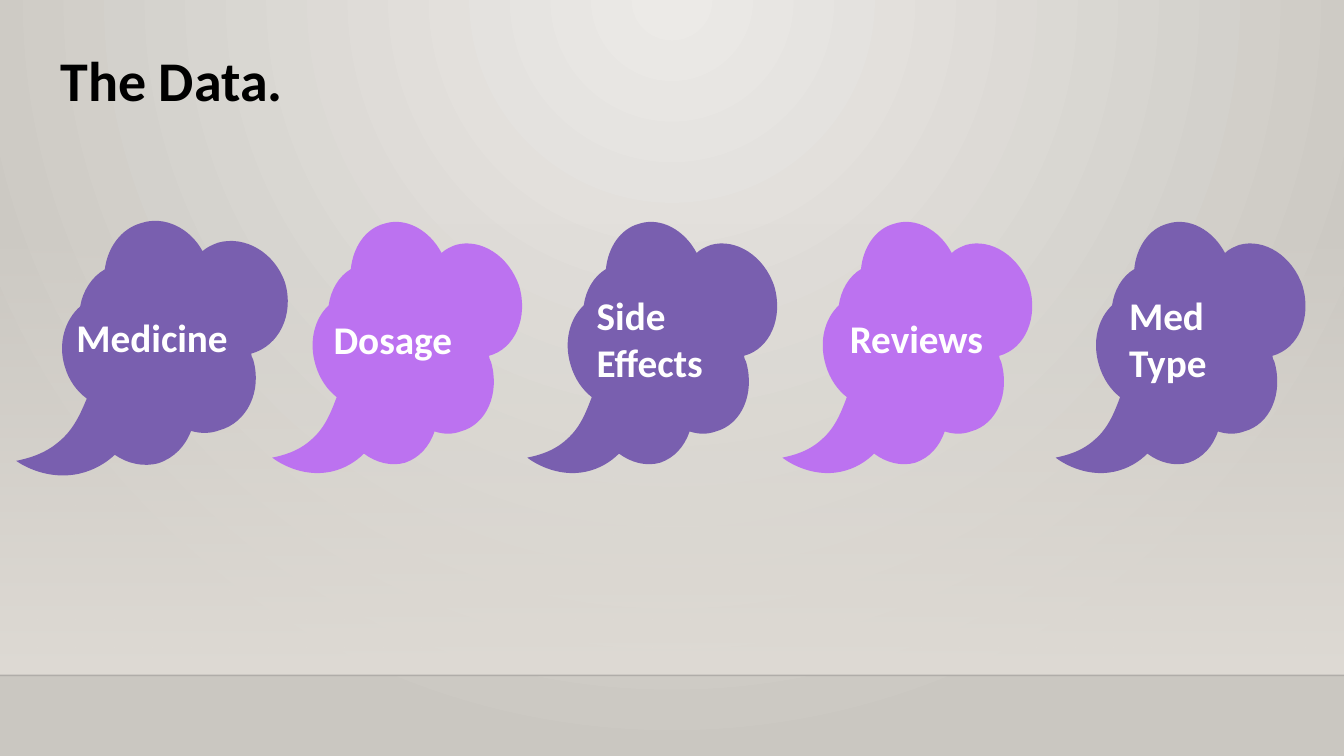
from math import cos, radians, sin

from lxml.etree import SubElement
from pptx import Presentation
from pptx.dml.color import RGBColor
from pptx.enum.shapes import MSO_CONNECTOR, MSO_SHAPE
from pptx.enum.text import MSO_ANCHOR, MSO_AUTO_SIZE, PP_ALIGN
from pptx.oxml.ns import qn
from pptx.util import Inches, Pt

# Content
TITLE = "The Data."
# label, cloud centre x, cloud stretch, cloud colour, label left, top, width, height
CLOUDS = [
    ("Medicine", 1.42, 1.08, "purple", 0.66, 3.06, 2.02, 0.57),
    ("Dosage", 3.85, 1, "orchid", 3.21, 3.08, 1.55, 0.57),
    ("Side Effects", 6.38, 1, "purple", 5.82, 2.84, 1.57, 1.04),
    ("Reviews", 8.91, 1, "orchid", 8.33, 3.07, 1.69, 0.57),
    ("Med Type", 11.62, 1, "purple", 11.1, 2.84, 1.57, 1.04),
]
COLORS = {
    "purple": "795FAF", "orchid": "BC72F0", "white": "FFFFFF", "black": "000000",
    "light": "ECEAE7", "dark": "CAC7C1", "wall": "DFDBD5", "edge": "000001",
}
FONT = "Calibri"
WIDTH, HEIGHT, FLOOR, WALL_TOP = 13.33, 7.5, 6.7, 2.21

# Cloud outline: a start point, then Bezier curves (two handles and an end point)
CENTER_X, CENTER_Y, TILT = 3.85, 3.43, radians(-16.7)
START = (3.09, 4.36)
CURVES = [
    ((3.23, 4.24), (3.29, 4.07), (3.34, 3.94)),
    ((3.25, 3.87), (3.17, 3.76), (3.13, 3.62)),
    ((3.06, 3.39), (3.12, 3.16), (3.26, 3.03)),
    ((3.28, 2.88), (3.36, 2.74), (3.48, 2.67)),
    ((3.5, 2.46), (3.62, 2.27), (3.81, 2.22)),
    ((4.02, 2.15), (4.26, 2.28), (4.38, 2.51)),
    ((4.42, 2.47), (4.47, 2.45), (4.52, 2.43)),
    ((4.77, 2.36), (5.05, 2.54), (5.15, 2.84)),
    ((5.24, 3.15), (5.11, 3.46), (4.85, 3.53)),
    ((4.85, 3.55), (4.86, 3.57), (4.87, 3.59)),
    ((4.96, 3.9), (4.83, 4.21), (4.57, 4.28)),
    ((4.49, 4.31), (4.4, 4.31), (4.31, 4.28)),
    ((4.26, 4.43), (4.16, 4.54), (4.02, 4.59)),
    ((3.88, 4.63), (3.73, 4.59), (3.61, 4.5)),
    ((3.53, 4.58), (3.42, 4.65), (3.28, 4.68)),
    ((2.99, 4.74), (2.75, 4.58), (2.7, 4.54)),
    ((2.8, 4.52), (2.96, 4.48), START),
]


def rgb(name):
    return RGBColor.from_string(COLORS[name])


def set_alpha(shape, percent):
    color = shape.element.find(".//" + qn("a:srgbClr"))
    SubElement(color, qn("a:alpha")).set("val", str(percent * 1000))


def set_gradient(fill, first, last):
    fill.gradient()
    for stop, name, position in zip(fill.gradient_stops, (first, last), (0, 1)):
        stop.color.rgb = rgb(name)
        stop.position = position


def set_text(shape, text, size, color):
    frame = shape.text_frame
    frame.text = text
    frame.word_wrap = True
    frame.auto_size = MSO_AUTO_SIZE.SHAPE_TO_FIT_TEXT
    frame.vertical_anchor = MSO_ANCHOR.TOP
    paragraph = frame.paragraphs[0]
    paragraph.alignment = PP_ALIGN.LEFT
    font = paragraph.runs[0].font
    font.name, font.size, font.bold = FONT, Pt(size), True
    font.color.rgb = rgb(color)


def place(point, center_x, stretch):
    """Move an outline point and stretch it along the cloud's tilted axis."""
    dx, dy = point[0] - CENTER_X, point[1] - CENTER_Y
    extra = (stretch - 1) * (dx * cos(TILT) + dy * sin(TILT))
    return (Inches(center_x + dx + extra * cos(TILT)),
            Inches(CENTER_Y + dy + extra * sin(TILT)))


def curve_segments(shape):
    """Turn every three straight segments into one Bezier curve."""
    segments = list(shape.element.iter(qn("a:lnTo")))
    for index in range(0, len(segments), 3):
        curve, *others = segments[index:index + 3]
        bezier = curve.getparent().makeelement(qn("a:cubicBezTo"))
        curve.addprevious(bezier)
        for segment in (curve, *others):
            bezier.append(segment[0])
            segment.getparent().remove(segment)


def add_cloud(slide, label, center_x, stretch, color, *box):
    group = slide.shapes.add_group_shape()
    points = [place(point, center_x, stretch) for curve in CURVES for point in curve]
    builder = group.shapes.build_freeform(*points[-1])
    builder.add_line_segments(points, close=True)
    cloud = builder.convert_to_shape()
    curve_segments(cloud)
    cloud.shadow.inherit = False
    cloud.fill.solid()
    cloud.fill.fore_color.rgb = rgb(color)
    cloud.line.fill.background()
    set_text(group.shapes.add_textbox(*map(Inches, box)), label, 28, "white")


def main():
    presentation = Presentation()
    presentation.slide_width, presentation.slide_height = Inches(WIDTH), Inches(HEIGHT)
    slide = presentation.slides.add_slide(presentation.slide_layouts[5])

    # Background: light spreading from the top centre
    set_gradient(slide.background.fill, "light", "dark")
    gradient = slide.element.find(".//" + qn("a:gradFill"))
    gradient.remove(gradient.find(qn("a:lin")))
    glow = SubElement(gradient, qn("a:path"))
    glow.set("path", "circle")
    center = SubElement(glow, qn("a:fillToRect"))
    for side, percent in (("l", 43), ("t", 0), ("r", 43), ("b", 100)):
        center.set(side, str(percent * 1000))

    # Wall fading in towards the floor
    wall = slide.shapes.add_shape(
        MSO_SHAPE.RECTANGLE, 0, Inches(WALL_TOP), Inches(WIDTH), Inches(FLOOR - WALL_TOP))
    wall.shadow.inherit = False
    wall.line.fill.background()
    set_gradient(wall.fill, "wall", "wall")
    wall.fill.gradient_angle = 270
    set_alpha(wall, 0)

    # Floor edge
    edge = slide.shapes.add_connector(
        MSO_CONNECTOR.STRAIGHT, 0, Inches(FLOOR), Inches(WIDTH), Inches(FLOOR))
    edge.line.width = Pt(1)
    edge.line.color.rgb = rgb("edge")
    set_alpha(edge, 20)
    SubElement(edge.element.spPr, qn("a:effectLst"))

    # Title
    title = slide.shapes.title
    title.left, title.top, title.width, title.height = map(Inches, (0.5, 0.4, 6.25, 0.77))
    set_text(title, TITLE, 40, "black")

    # Clouds with their labels
    for cloud in CLOUDS:
        add_cloud(slide, *cloud)

    presentation.save("out.pptx")


if __name__ == "__main__":
    main()
